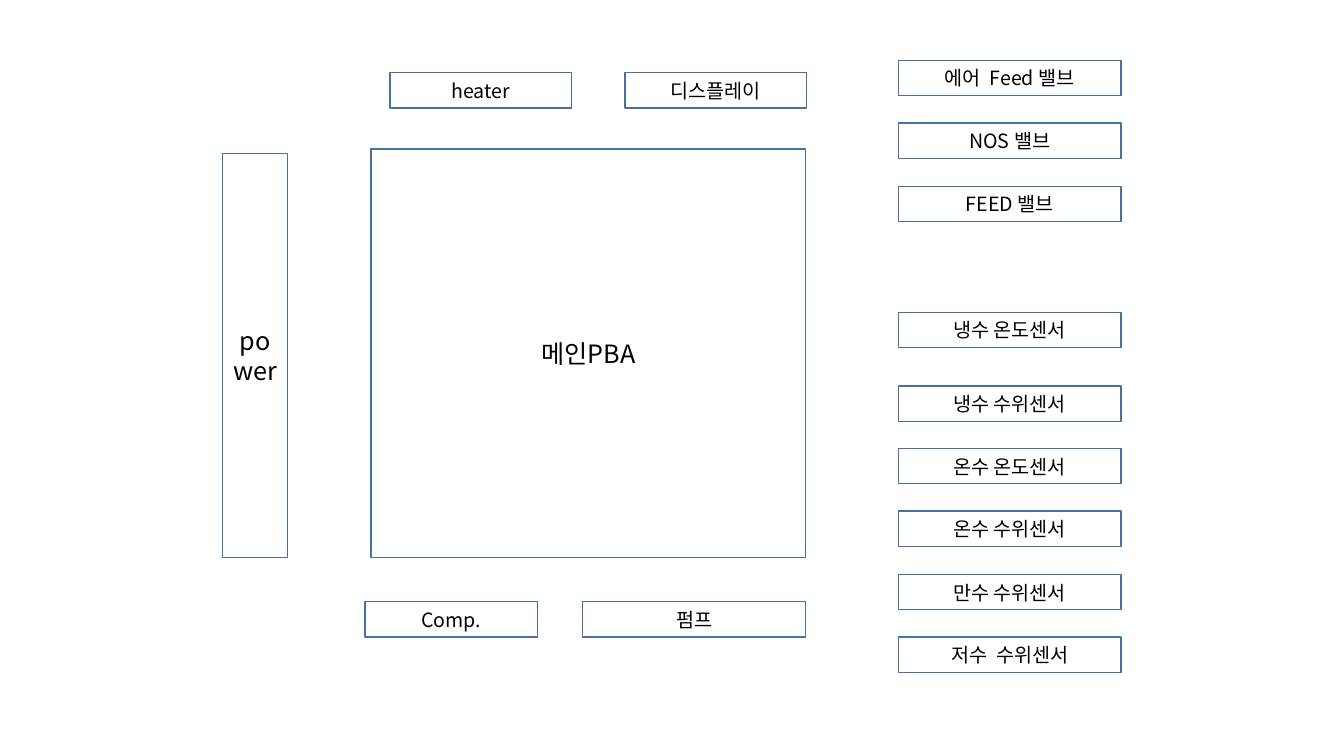
from lxml import etree
from pptx import Presentation, util as u
from pptx.dml.color import RGBColor
from pptx.enum import shapes, text
from pptx.oxml import ns

PX = 9144
FONT = "Noto Sans CJK KR"
LINE, INK = "43739E", "000000"
PART_H = 35
RIGHT_X, RIGHT_W = 891, 221

VALVES = ["에어  Feed 밸브", "NOS 밸브", "FEED 밸브"]
SENSORS = ["냉수 수위센서", "온수 온도센서", "온수 수위센서", "만수 수위센서", "저수  수위센서"]


def px(n):
    """Turn px into EMU."""
    return u.Emu(n * PX)


def color(hex_code):
    """Turn a hex string into a colour."""
    return RGBColor.from_string(hex_code)


def write(tf, content, size=14, ink=INK, font=FONT):
    """Write one centred line of formatted text."""
    tf.word_wrap = True
    tf.vertical_anchor = text.MSO_ANCHOR.MIDDLE
    p = tf.paragraphs[0]
    p.alignment = text.PP_ALIGN.CENTER
    r = p.add_run()
    r.text = content
    r.font.size = u.Pt(size)
    r.font.color.rgb = color(ink)
    r.font.name = font
    ea = etree.SubElement(r.font._element, ns.qn("a:ea"))
    ea.set("typeface", font)


def box(s, label, x, y, w, h=PART_H, **fmt):
    """Draw an outlined box with a label."""
    sp = s.shapes.add_shape(shapes.MSO_SHAPE.RECTANGLE, px(x), px(y), px(w), px(h))
    sp.shadow.inherit = False
    sp.fill.background()
    sp.line.color.rgb = color(LINE)
    sp.line.width = u.Pt(1)
    write(sp.text_frame, label, **fmt)


def column(s, labels, first, last):
    """Spread parts evenly down the right side."""
    pitch = (last - first) / (len(labels) - 1)
    for i, label in enumerate(labels):
        box(s, label, RIGHT_X, first + round(i * pitch), RIGHT_W)


def main():
    """Build the block diagram slide."""
    prs = Presentation()
    prs.slide_width, prs.slide_height = px(1333), px(750)
    s = prs.slides.add_slide(prs.slide_layouts[6])

    box(s, "power", 221, 152, 64, 401, size=18)
    box(s, "메인PBA", 368, 148, 431, 405, size=18)

    box(s, "heater", 387, 72, 180)
    box(s, "디스플레이", 620, 72, 180)
    box(s, "Comp.", 362, 597, 171)
    box(s, "펌프", 578, 597, 221)

    column(s, VALVES, 60, 185)
    box(s, "냉수 온도센서", RIGHT_X, 310, RIGHT_W)
    column(s, SENSORS, 383, 632)

    prs.save("out.pptx")


if __name__ == "__main__":
    main()
